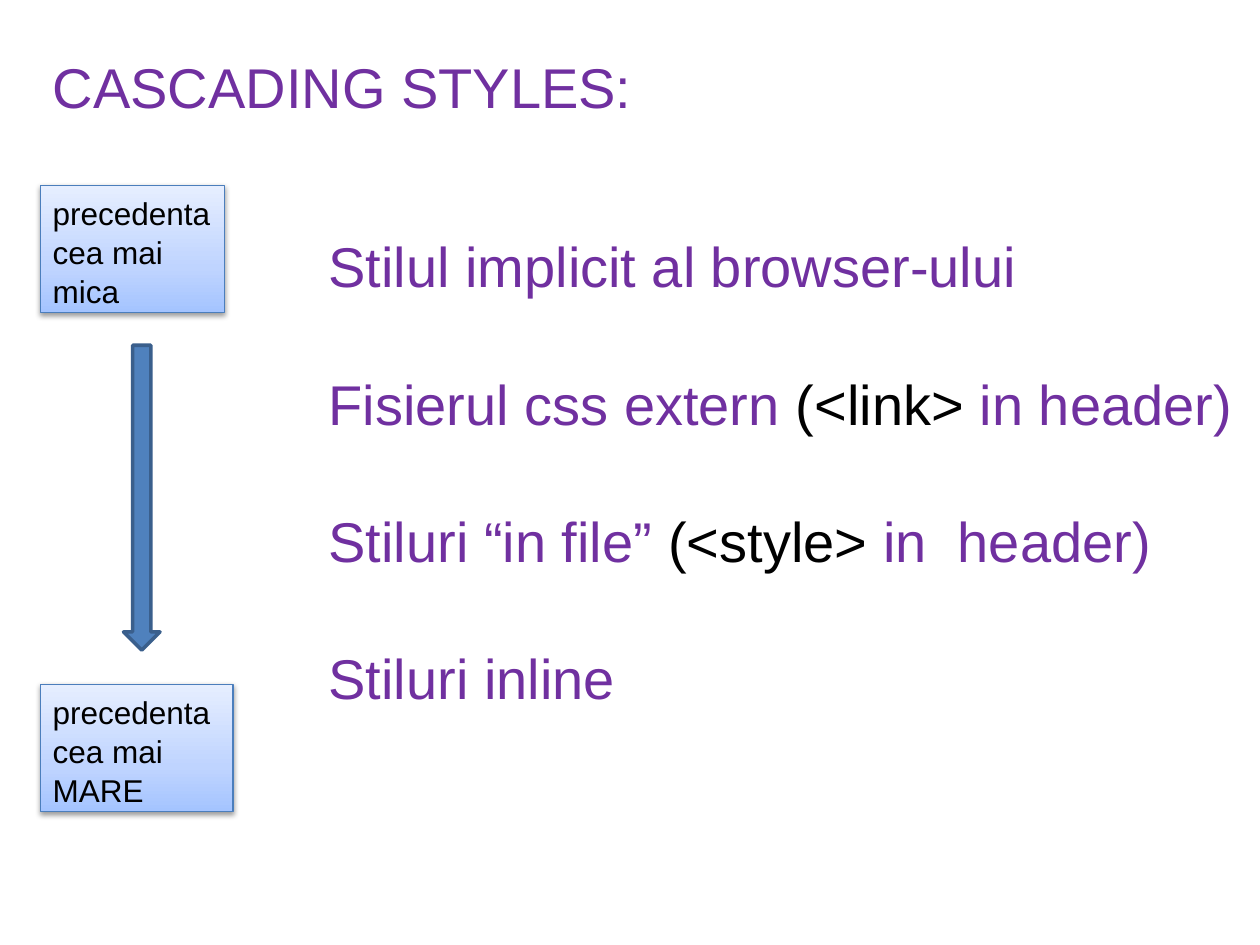
import copy
import pptx
import pptx.util
import pptx.dml.color
import pptx.enum.shapes
import pptx.enum.text
import pptx.oxml

Pt = pptx.util.Pt
Inch = pptx.util.Inches
Kind = pptx.enum.shapes.MSO_SHAPE
hues = {"head": "7030A0", "text": "000000", "arrow": "4F81BD", "rim": "3A5F8C",
        "edge": "4B7EBC", "low": "A4C4FF", "mid": "BFD4FF", "top": "E6EEFF"}


def hue(name):
    return pptx.dml.color.RGBColor.from_string(hues[name])


def write(shape, lines, size, gap, inset):
    frame = shape.text_frame
    frame.word_wrap = True
    frame.vertical_anchor = pptx.enum.text.MSO_ANCHOR.TOP
    frame.margin_top = Inch(inset)
    frame.margin_right = 0
    for i, line in enumerate(lines):
        para = frame.add_paragraph() if i else frame.paragraphs[0]
        para.alignment = pptx.enum.text.PP_ALIGN.LEFT
        if i:
            para.space_before = Pt(gap)
        for text, color in line:
            run = para.add_run()
            run.text = text
            run.font.name = "Arial"
            run.font.size = Pt(size)
            run.font.color.rgb = hue(color)


deck = pptx.Presentation()
deck.slide_width, deck.slide_height = Inch(10), Inch(7.5)
slide = deck.slides.add_slide(deck.slide_layouts[6])
shapes = slide.shapes
left = 0.32

# Title and list of style sources
title = [[("CASCADING STYLES:", "head")]]
styles = [
    [("Stilul implicit al browser-ului", "head")],
    [("Fisierul css extern ", "head"), ("(<link> ", "text"), ("in header)", "head")],
    [("Stiluri “in file” ", "head"), ("(<style> ", "text"), ("in  header)", "head")],
    [("Stiluri inline", "head")],
]
for lines, area in ((title, (left, 0.33, 9.68, 3.64)),
                    (styles, (2.51, 1.75, 7.43, 4.17))):
    box = shapes.add_textbox(*map(Inch, area))
    write(box, lines, 32, 40, 0.09)

# Arrow from lowest to highest precedence
arrow = shapes.add_shape(Kind.DOWN_ARROW, Inch(0.98), Inch(2.74), Inch(0.29), Inch(2.42))
arrow.shadow.inherit = False
arrow.fill.solid()
arrow.fill.fore_color.rgb = hue("arrow")
arrow.line.color.rgb = hue("rim")
arrow.line.width = Pt(2)

# Precedence boxes with gradient and soft shadow
shade = ('<a:outerShdw xmlns:a="http://schemas.openxmlformats.org/drawingml/2006/main" '
         'blurRad="40000" dist="20000" dir="5400000" rotWithShape="0">'
         '<a:srgbClr val="000000"><a:alpha val="38000"/></a:srgbClr></a:outerShdw>')
for last, top, width in (("MARE", 5.43, 1.53), ("mica", 1.47, 1.46)):
    box = shapes.add_shape(Kind.RECTANGLE, Inch(left), Inch(top), Inch(width), Inch(1.01))
    box.fill.gradient()
    box.fill.gradient_angle = 90
    stops = box._element.spPr.find(".//" + pptx.oxml.ns.qn("a:gsLst"))
    stops.insert(1, copy.deepcopy(stops[0]))
    for stop, name, pos in zip(box.fill.gradient_stops, ("low", "mid", "top"), (0, 0.35, 1)):
        stop.color.rgb = hue(name)
        stop.position = pos
    box.line.color.rgb = hue("edge")
    box.line.width = Pt(0.75)
    box.shadow.inherit = False
    effects = box._element.spPr.find(pptx.oxml.ns.qn("a:effectLst"))
    effects.append(pptx.oxml.parse_xml(shade))
    write(box, [[(text, "text")] for text in ("precedenta", "cea mai", last)], 18, 0.8, 0.07)

deck.save("out.pptx")
